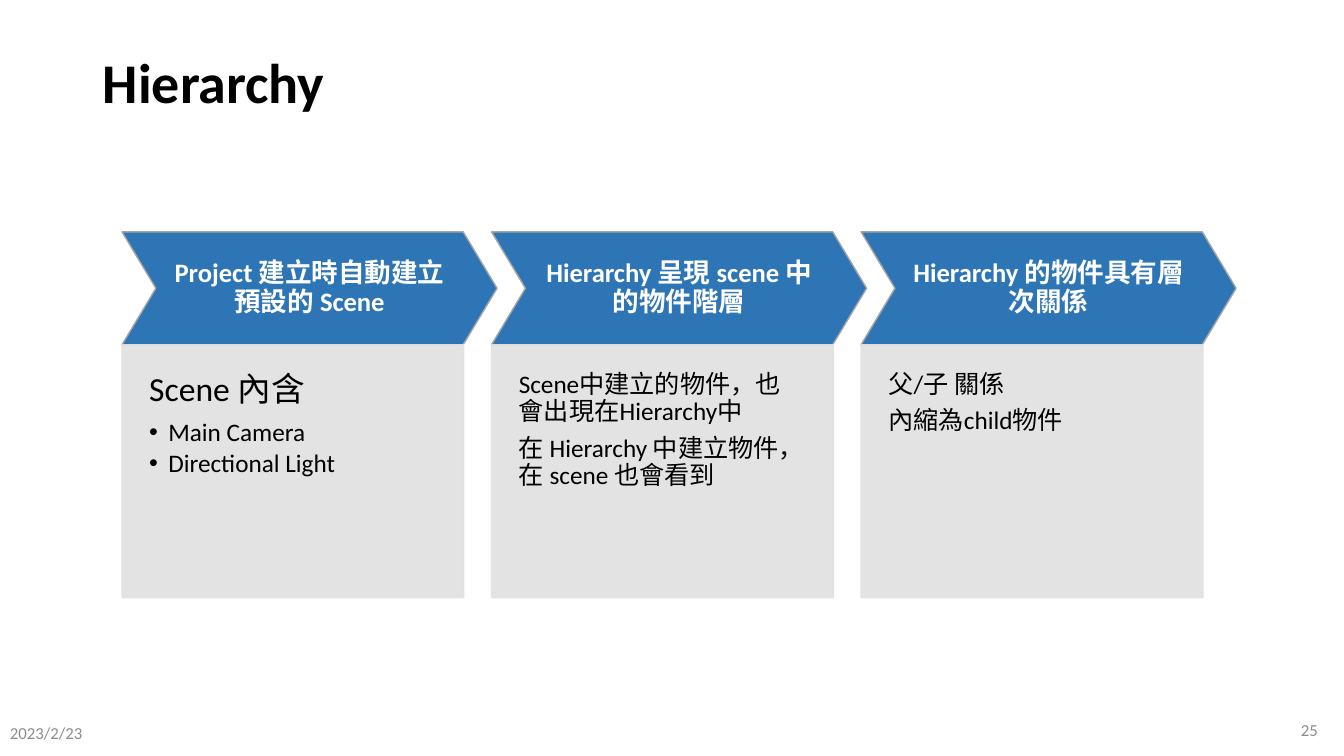
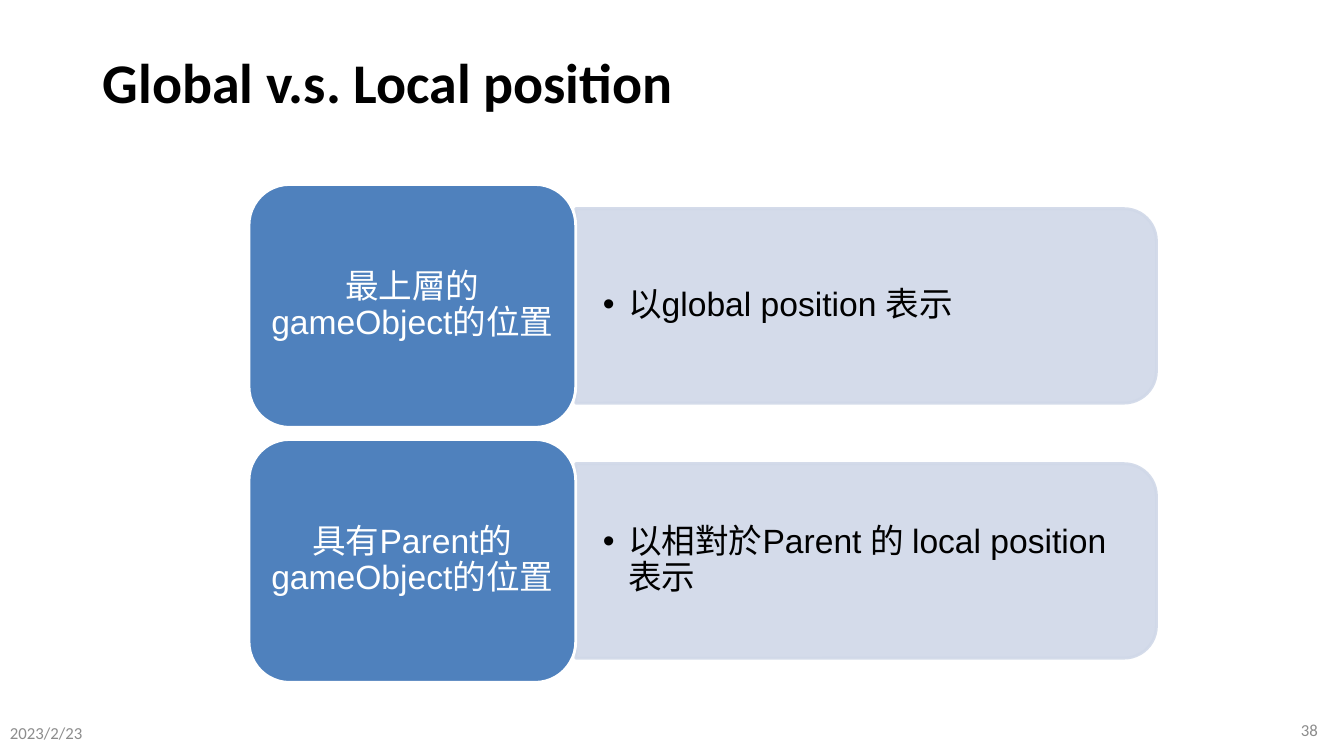
from lxml import etree
from pptx import Presentation
from pptx.dml.color import RGBColor
from pptx.enum.shapes import MSO_SHAPE as Shape
from pptx.enum.text import MSO_ANCHOR as Anchor, PP_ALIGN as Align
from pptx.oxml.ns import qn
from pptx.util import Inches, Pt

# Content: (paragraph text, size, is bullet)
HIERARCHY_STEPS = [
    ("Project 建立時自動建立預設的 Scene",
     [("Scene 內含", 24, False), ("Main Camera", 18, True),
      ("Directional Light", 18, True)]),
    ("Hierarchy 呈現 scene 中的物件階層",
     [("Scene中建立的物件，也會出現在Hierarchy中", 18, False),
      ("在 Hierarchy 中建立物件，在 scene 也會看到", 18, False)]),
    ("Hierarchy 的物件具有層次關係",
     [("父/子 關係", 18, False), ("內縮為child物件", 18, False)]),
]
POSITION_ROWS = [
    ("最上層的gameObject的位置", "以global position 表示"),
    ("具有Parent的gameObject的位置", "以相對於Parent 的 local position 表示"),
]
DATE = "2023/2/23"

# Shared style
BLACK, WHITE, GREY = "000000", "FFFFFF", "8C8C8C"
STEP_BLUE, STEP_EDGE, STEP_PANEL = "2E75B6", "A5A5A5", "E1E1E1"
LABEL_BLUE, ROW_PANEL = "4F81BD", "D0D8E8"


def color(hex_value):
    return RGBColor.from_string(hex_value)


def add_bullet(paragraph, indent):
    properties = paragraph._p.get_or_add_pPr()
    properties.set("marL", str(Inches(indent)))
    properties.set("indent", str(-Inches(indent)))
    etree.SubElement(properties, qn("a:buFont")).set("typeface", "Arial")
    etree.SubElement(properties, qn("a:buChar")).set("char", "•")


def write(shape, paragraphs, font="Calibri", ink=BLACK, bold=False, align=Align.LEFT,
          anchor=Anchor.MIDDLE, insets=(0.1, 0.05, 0.1, 0.05), indent=0.19, spacing=0.9):
    frame = shape.text_frame
    frame.word_wrap = True
    frame.vertical_anchor = anchor
    (frame.margin_left, frame.margin_top,
     frame.margin_right, frame.margin_bottom) = map(Inches, insets)
    for index, (text, size, bullet) in enumerate(paragraphs):
        paragraph = frame.add_paragraph() if index else frame.paragraphs[0]
        paragraph.text = text
        paragraph.alignment = align
        paragraph.line_spacing = spacing
        if index < len(paragraphs) - 1:
            paragraph.space_after = Pt(round(size * (0.15 if bullet else 0.35), 1))
        if bullet:
            add_bullet(paragraph, indent)
        paragraph.font.name = font
        paragraph.font.size = Pt(size)
        paragraph.font.bold = bold
        paragraph.font.color.rgb = color(ink)


def add_text(slide, box, paragraphs, **style):
    write(slide.shapes.add_textbox(*map(Inches, box)), paragraphs, **style)


def add_block(slide, kind, box, fill, edge, width, alpha=None):
    shape = slide.shapes.add_shape(kind, *map(Inches, box))
    shape.shadow.inherit = False
    shape.fill.solid()
    shape.fill.fore_color.rgb = color(fill)
    shape.line.color.rgb = color(edge)
    shape.line.width = Pt(width)
    if alpha:
        for element in shape._element.spPr.iter(qn("a:srgbClr")):
            etree.SubElement(element, qn("a:alpha")).set("val", str(alpha * 1000))
    return shape


def add_slide(presentation, title, number):
    slide = presentation.slides.add_slide(presentation.slide_layouts[5])
    heading = slide.shapes.title
    heading.left, heading.top, heading.width, heading.height = map(
        Inches, (0.92, 0.12, 11.5, 1.45))
    write(heading, [(title, 40, False)], bold=True)
    add_text(slide, (0, 7.07, 3, 0.4), [(DATE, 12, False)], ink=GREY, spacing=1.0)
    add_text(slide, (10.17, 7.04, 3, 0.4), [(str(number), 12, False)],
             ink=GREY, align=Align.RIGHT, spacing=1.0)
    return slide


def build_hierarchy(presentation):
    slide = add_slide(presentation, "Hierarchy", 25)
    left, top, pitch = 1.21, 2.3, 3.665
    chevron_height = 1.12
    for index, (heading, details) in enumerate(HIERARCHY_STEPS):
        x = left + index * pitch
        chevron = add_block(slide, Shape.CHEVRON, (x, top, 3.72, chevron_height),
                            STEP_BLUE, STEP_EDGE, 1)
        chevron.adjustments[0] = 0.3
        write(chevron, [(heading, 19, False)], ink=WHITE, bold=True,
              align=Align.CENTER, insets=(0.14,) * 4)
        panel = add_block(slide, Shape.RECTANGLE, (x, top + chevron_height, 3.39, 2.51),
                          STEP_PANEL, STEP_PANEL, 1, alpha=90)
        write(panel, details, anchor=Anchor.TOP, insets=(0.27, 0.27, 0.27, 0.54))


def build_positions(presentation):
    slide = add_slide(presentation, "Global v.s. Local position", 38)
    left, top, pitch = 2.47, 1.83, 2.53
    label_width, label_height = 3.24, 2.41
    panel_width, panel_height = 5.76, 1.93
    panel_left = left + label_width
    for index, (label_text, detail) in enumerate(POSITION_ROWS):
        y = top + index * pitch
        middle = y + label_height / 2
        # The panel is turned a quarter so its rounded end faces right
        panel_box = (panel_left + (panel_width - panel_height) / 2,
                     middle - panel_width / 2, panel_height, panel_width)
        panel = add_block(slide, Shape.ROUND_2_SAME_RECTANGLE, panel_box,
                          ROW_PANEL, ROW_PANEL, 2, alpha=90)
        panel.rotation = 90
        add_text(slide, (panel_left, middle - 0.87, 5.67, 1.74), [(detail, 24, True)],
                 font="Arial", insets=(0.27, 0.14, 0.27, 0.14), indent=0.25)
        label = add_block(slide, Shape.ROUNDED_RECTANGLE,
                          (left, y, label_width, label_height), LABEL_BLUE, WHITE, 2)
        write(label, [(label_text, 24, False)], font="Arial", ink=WHITE,
              align=Align.CENTER)


def main():
    presentation = Presentation()
    presentation.slide_width = Inches(13.33)
    presentation.slide_height = Inches(7.5)
    build_hierarchy(presentation)
    build_positions(presentation)
    presentation.save("out.pptx")


if __name__ == "__main__":
    main()
